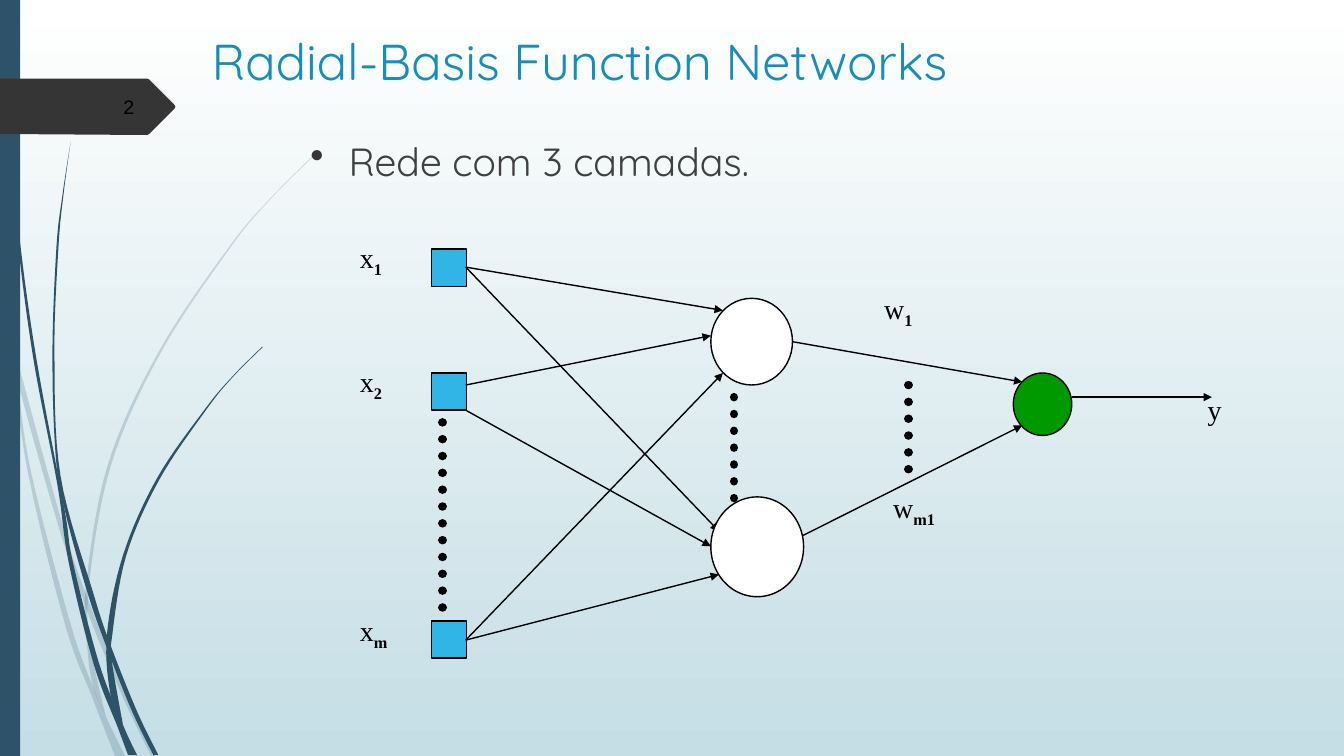
from lxml import etree
from pptx import Presentation
from pptx import util as u
from pptx.dml.color import RGBColor
from pptx.enum import dml, shapes, text
from pptx.oxml import ns

NAVY = RGBColor(0x2E, 0x53, 0x69)
CHARCOAL = RGBColor(0x35, 0x35, 0x35)
GREY = RGBColor(0x40, 0x40, 0x40)
TEAL = RGBColor(0x17, 0x8D, 0xBB)
SKY = RGBColor(0x31, 0xB4, 0xE6)
GREEN = RGBColor(0x00, 0x99, 0x00)
MIST = RGBColor(0xC5, 0xDE, 0xE5)
WHITE = RGBColor(0xFF, 0xFF, 0xFF)
BLACK = RGBColor(0, 0, 0)

deck = Presentation()
deck.slide_width, deck.slide_height = u.Inches(13.33), u.Inches(7.5)
COL, ROW = deck.slide_width / 13.33, deck.slide_height / 7.5
slide = deck.slides.add_slide(deck.slide_layouts[6])
canvas = slide.shapes

backdrop = slide.background.fill
backdrop.gradient()
backdrop.gradient_angle = 270
for stop, color in zip(backdrop.gradient_stops, (WHITE, MIST)):
    stop.color.rgb = color


def write(words, at, size=20, font="Times New Roman", color=BLACK, sub="",
          align=text.PP_ALIGN.LEFT, anchor=text.MSO_ANCHOR.TOP, bullet=None):
    left, top, width, height = at
    box = canvas.add_textbox(round(left * COL), round(top * ROW),
                             round(width * COL), round(height * ROW))
    frame = box.text_frame
    frame.word_wrap = True
    frame.vertical_anchor = anchor
    line = frame.paragraphs[0]
    line.alignment = align
    if bullet:
        props = line._p.get_or_add_pPr()
        props.set("marL", str(u.Inches(0.38)))
        props.set("indent", str(-u.Inches(0.38)))
        tint = etree.SubElement(props, ns.qn("a:buClr"))
        etree.SubElement(tint, ns.qn("a:srgbClr"), val=str(CHARCOAL))
        etree.SubElement(props, ns.qn("a:buChar"), char=bullet)
    for part in filter(None, (words, sub)):
        run = line.add_run()
        run.text = part
        run.font.size = u.Pt(size)
        run.font.name = font
        run.font.color.rgb = color
    if sub:
        run.font.bold = True
        run.font._element.set("baseline", "-25000")


def paint(shape, fill, outlined=False):
    shape.shadow.inherit = False
    shape.fill.solid()
    shape.fill.fore_color.rgb = fill
    if outlined:
        shape.line.color.rgb = BLACK
        shape.line.width = u.Pt(1)
    else:
        shape.line.fill.background()


PALE, FULL = 20, 100
strands = [
    (PALE, [(0, 2.99), (.1, 3.46), (.28, 4.7), (.65, 6.21), (.92, 6.93), (1.14, 7.5)],
     [(0, 2.82), (.09, 3.22), (.17, 3.76), (.31, 4.69), (.7, 6.19), (.93, 6.83),
      (1.05, 7.11), (1.24, 7.5)]),
    (PALE, [(.14, 3.45), (.17, 3.76), (.58, 5.22), (.88, 6.1), (1.23, 6.94), (1.5, 7.5)],
     [(.14, 3.45), (.62, 5.2), (.92, 6.07), (1.27, 6.92), (1.55, 7.5)]),
    (PALE, [(3.12, 1.53), (2.68, 1.97), (2.28, 2.44), (1.58, 3.48), (1.07, 4.61),
            (.85, 5.84), (.87, 6.46), (.93, 6.83), (1.05, 7.11)],
     [(3.12, 1.54), (2.68, 1.98), (2.29, 2.45), (1.6, 3.49), (1.1, 4.62),
      (.88, 5.84), (.91, 6.46), (1.05, 7.11)]),
    (FULL, [(.03, 0), (.07, 1.1), (.17, 2.33), (.33, 3.55), (.57, 4.81), (.68, 5.57),
            (.93, 6.59), (1.17, 7.22), (1.27, 7.49)],
     [(.04, 0), (.08, 1.09), (.19, 2.32), (.36, 3.55), (.64, 5.05), (.72, 5.56),
      (.98, 6.57), (1.22, 7.19), (1.36, 7.49)]),
    (FULL, [(.7, 1.41), (.62, 1.93), (.56, 2.45), (.52, 3.49), (.55, 4.49), (.64, 5.05),
            (.88, 5.92), (1.11, 6.56), (1.32, 7.08), (1.52, 7.49)],
     [(.7, 1.41), (.63, 1.93), (.58, 2.45), (.54, 3.49), (.6, 4.72), (.93, 5.9),
      (1.1, 6.41), (1.36, 7.06), (1.57, 7.49)]),
    (FULL, [(2.6, 3.44), (2.31, 3.73), (2.04, 4.05), (1.56, 4.74), (1.22, 5.51),
            (1.06, 6.31), (1.1, 6.91), (1.22, 7.19)],
     [(2.61, 3.44), (2.31, 3.74), (2.05, 4.06), (1.58, 4.76), (1.25, 5.52),
      (1.11, 6.33), (1.11, 6.56), (1.22, 7.19)]),
]
STEPS = 8
for opacity, left_edge, right_edge in strands:
    outline = []
    for edge in (left_edge, right_edge[::-1]):
        knots = [edge[0], *edge, edge[-1]]
        for a, b, c, d in zip(knots, knots[1:], knots[2:], knots[3:]):
            for t in (step / STEPS for step in range(STEPS)):
                x, y = (b[i] + t / 2 * (c[i] - a[i]
                        + t * (2 * a[i] - 5 * b[i] + 4 * c[i] - d[i])
                        + t * t * (3 * b[i] - a[i] - 3 * c[i] + d[i])) for i in (0, 1))
                outline.append((round(x * COL), round(y * ROW)))
        outline.append((round(edge[-1][0] * COL), round(edge[-1][1] * ROW)))
    pen = canvas.build_freeform(*outline[0])
    pen.add_line_segments(outline[1:])
    strand = pen.convert_to_shape()
    paint(strand, NAVY)
    tint = strand._element.spPr.find(".//" + ns.qn("a:srgbClr"))
    etree.SubElement(tint, ns.qn("a:alpha"), val=str(opacity * 1000))

side_bar = canvas.add_shape(shapes.MSO_SHAPE.RECTANGLE, 0, 0, round(.2 * COL), deck.slide_height)
paint(side_bar, NAVY)
pen = canvas.build_freeform(0, round(.78 * ROW))
pen.add_line_segments([(round(x * COL), round(y * ROW)) for x, y in
                       [(1.46, .78), (1.48, .79), (1.73, 1.04), (1.74, 1.06),
                        (1.73, 1.08), (1.48, 1.33), (1.46, 1.34), (0, 1.33)]])
paint(pen.convert_to_shape(), CHARCOAL)

write("2", (.58, .86, .85, .4), size=14, font="Arial",
      align=text.PP_ALIGN.RIGHT, anchor=text.MSO_ANCHOR.MIDDLE)
write("Radial-Basis Function Networks", (2, .25, 9.31, 1.06),
      size=36, font="Quicksand", color=TEAL)
write("Rede com 3 camadas.", (2.98, 1.31, 9.75, 4.13),
      size=28, font="Quicksand", color=GREY, bullet="•")

INPUT_TOP, INPUT_STEP = 2.47, 1.23
square, circle = shapes.MSO_SHAPE.RECTANGLE, shapes.MSO_SHAPE.OVAL
inputs = [(square, SKY, 4.28, INPUT_TOP + INPUT_STEP * slot, .35, .37) for slot in (0, 1, 3)]
upper_hidden = (circle, WHITE, 7.05, 2.96, .81, .86)
lower_hidden = (circle, WHITE, 7.05, 4.93, .92, .99)
output = (circle, GREEN, 10.05, 3.7, .58, .62)

arrows = [((4.62, 6.35), (7.13, 5.7)), ((4.62, 6.35), (7.17, 3.7)),
          ((4.62, 4.07), (7.05, 5.42)), ((4.62, 3.82), (7.05, 3.33)),
          ((4.62, 2.65), (7.13, 5.27)), ((4.62, 2.65), (7.17, 3.08)),
          ((7.63, 5.48), (10.14, 4.22)), ((7.86, 3.39), (10.14, 3.79)),
          ((10.63, 3.94), (12.02, 3.94))]
ellipses = [((4.39, 4.19), (4.39, 6.04)), ((7.28, 3.94), (7.28, 5.05)),
            ((9.01, 3.82), (9.01, 4.68))]

links = [(ends, False) for ends in arrows] + [(ends, True) for ends in ellipses]
for layer in ([*inputs, upper_hidden, output], links, [lower_hidden]):
    for item in layer:
        if layer is links:
            ((x1, y1), (x2, y2)), dotted = item
            link = canvas.add_connector(shapes.MSO_CONNECTOR.STRAIGHT, round(x1 * COL),
                                        round(y1 * ROW), round(x2 * COL), round(y2 * ROW))
            etree.SubElement(link._element.spPr, ns.qn("a:effectLst"))
            link.line.color.rgb = BLACK
            link.line.width = u.Pt(6 if dotted else 1)
            stroke = link.line._get_or_add_ln()
            if dotted:
                link.line.dash_style = dml.MSO_LINE.ROUND_DOT
                stroke.set("cap", "rnd")
            else:
                etree.SubElement(stroke, ns.qn("a:tailEnd"), type="triangle")
        else:
            kind, fill, left, top, width, height = item
            neuron = canvas.add_shape(kind, round(left * COL), round(top * ROW),
                                      round(width * COL), round(height * ROW))
            paint(neuron, fill, outlined=True)

labels = [("x", "1", 3.47, 2.34, .61), ("x", "2", 3.47, 3.57, .61), ("x", "m", 3.47, 6.04, .69),
          ("w", "1", 8.67, 2.84, .7), ("w", "m1", 8.76, 4.82, .92), ("y", "", 11.88, 3.84, .47)]
for symbol, index, left, top, width in labels:
    write(symbol, (left, top, width, .64), sub=index)

deck.save("out.pptx")
